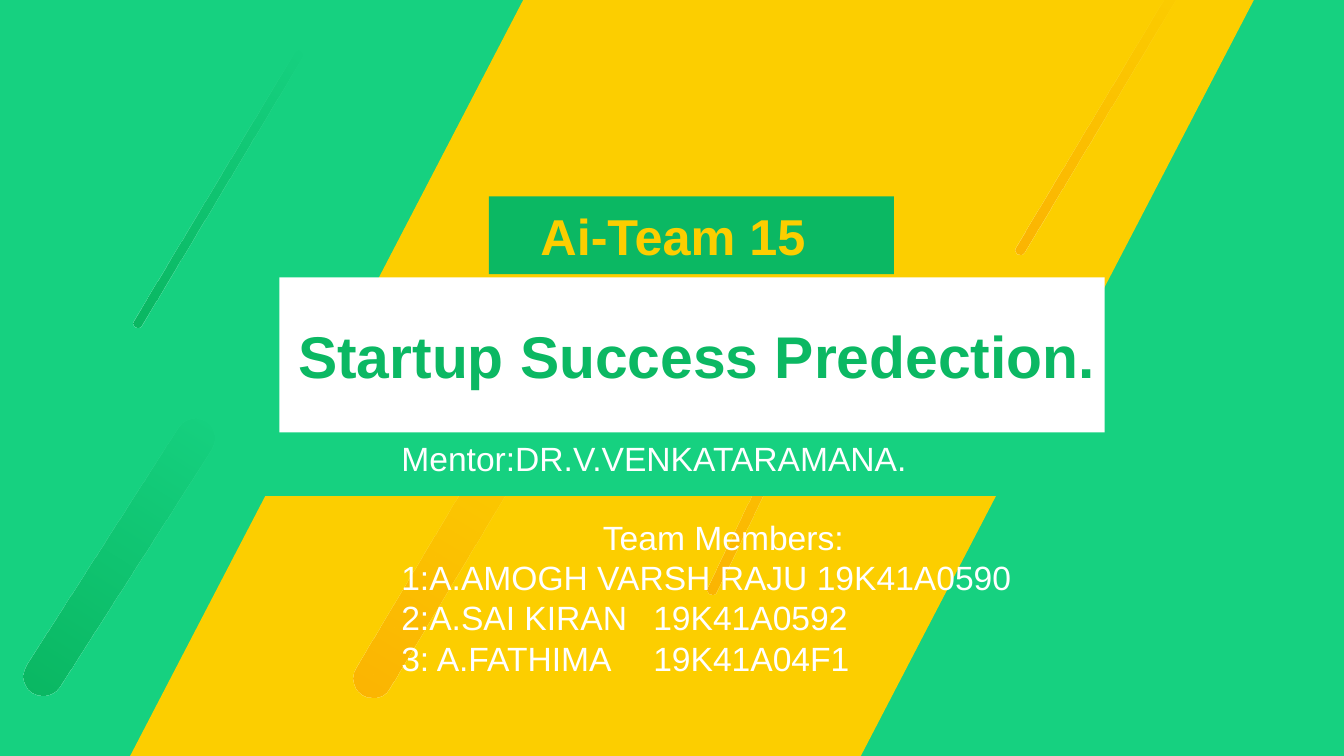
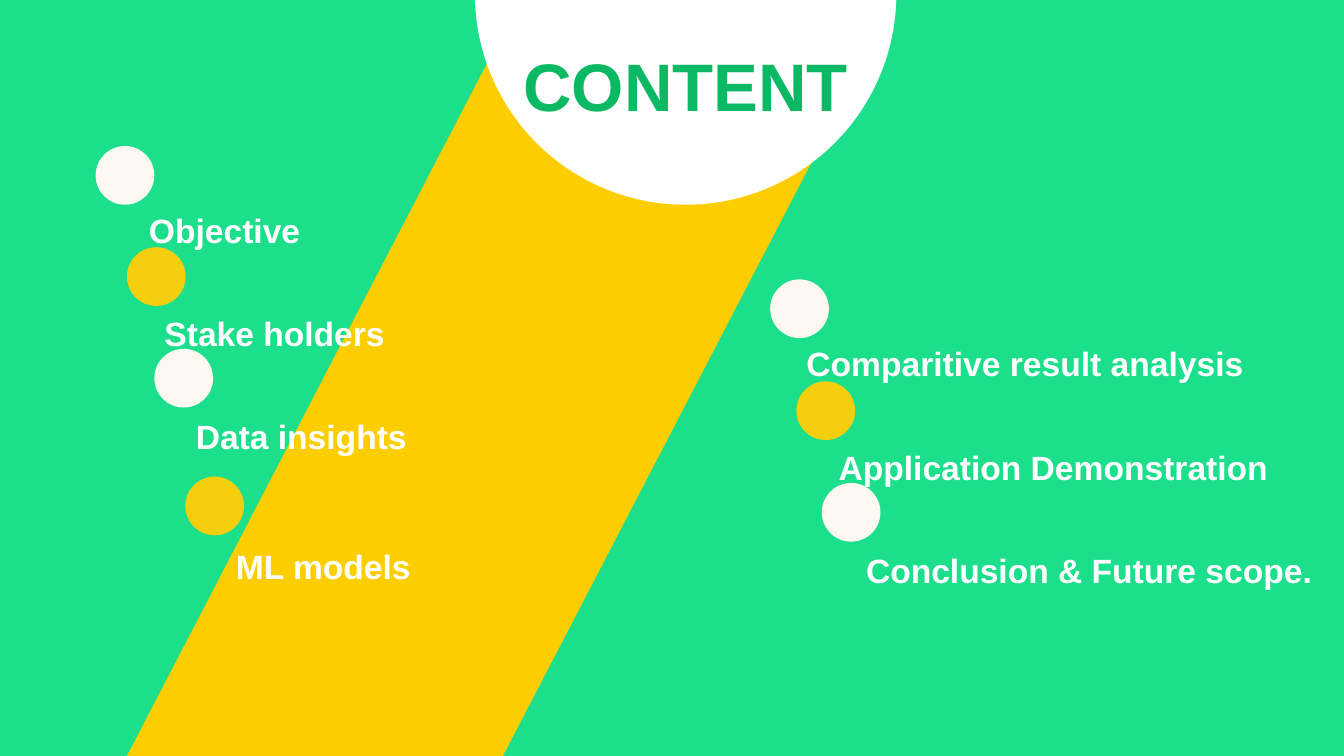
from dataclasses import dataclass
from math import cos, pi, sin

from lxml.etree import SubElement
from pptx import Presentation
from pptx.dml.color import RGBColor
from pptx.enum.shapes import MSO_SHAPE
from pptx.enum.text import MSO_ANCHOR, MSO_AUTO_SIZE, PP_ALIGN
from pptx.oxml.ns import qn
from pptx.util import Cm, Pt


@dataclass(frozen=True)
class Theme:
    """Colours, font and type sizes shared by the slides."""

    font: str = "Arial"
    white: str = "FFFFFF"
    cover_green: str = "16D180"
    content_green: str = "1CDF8B"
    dark_green: str = "0BB863"
    yellow: str = "FCCE00"
    orange: str = "FCB504"
    dot_colours: tuple = ("FDF8F2", "F5CF0E")
    title_size: int = 42
    heading_size: int = 48
    tag_size: int = 36
    body_size: int = 24
    line_factor: float = 1.15
    stripe_slant: float = 0.52


@dataclass(frozen=True)
class Box:
    """A rectangle in centimetres."""

    left: float
    top: float
    width: float
    height: float

    def inner(self, left, top, width, height):
        """Return a box placed relative to this one."""
        return Box(self.left + left, self.top + top, width, height)

    def lengths(self):
        """Return the four lengths for python-pptx."""
        return [Cm(value) for value in (self.left, self.top, self.width, self.height)]


THEME = Theme()
PAGE = Box(0, 0, 33.87, 19.05)
BODY_LINE = Pt(THEME.body_size * THEME.line_factor)

MEMBERS = (
    "1:A.AMOGH VARSH RAJU 19K41A0590",
    "2:A.SAI KIRAN\t19K41A0592",
    "3: A.FATHIMA\t19K41A04F1",
)
LEFT_TOPICS = (
    ("Objective", 0, 0, 1.34),
    ("Stake holders", 0.79, 2.55, 1.73),
    ("Data insights", 1.48, 5.11, 2.52),
    ("ML models", 2.26, 8.33, 3.53),
)
RIGHT_TOPICS = (
    ("Comparitive result analysis", 0, 0, 0.91),
    ("Application Demonstration", 0.66, 2.57, 1.72),
    ("Conclusion & Future scope.", 1.3, 5.13, 2.41),
)


def paint(shape, colour):
    """Give a shape a plain fill without line or shadow."""
    shape.fill.solid()
    shape.fill.fore_color.rgb = RGBColor.from_string(colour)
    shape.line.fill.background()
    shape.shadow.inherit = False


def add_filled(slide, kind, box, colour):
    """Add a filled preset shape."""
    shape = slide.shapes.add_shape(kind, *box.lengths())
    paint(shape, colour)
    return shape


def add_stripe(slide, box):
    """Add the slanted yellow stripe."""
    stripe = add_filled(slide, MSO_SHAPE.PARALLELOGRAM, box, THEME.yellow)
    stripe.adjustments[0] = THEME.stripe_slant


def add_streak(slide, box, rotation, colour):
    """Add a rounded bar that fades out along its length."""
    streak = add_filled(slide, MSO_SHAPE.ROUNDED_RECTANGLE, box, colour)
    streak.adjustments[0] = 0.5
    streak.rotation = rotation
    streak.fill.gradient()
    streak.fill.gradient_angle = 270
    for stop in streak.fill.gradient_stops:
        stop.color.rgb = RGBColor.from_string(colour)
    faded = streak._element.spPr.findall(".//" + qn("a:srgbClr"))[-1]
    SubElement(faded, qn("a:alpha"), val="0")


def style(paragraph, size, colour, bold=False, align=PP_ALIGN.LEFT):
    """Set the font and alignment of a paragraph."""
    paragraph.alignment = align
    font = paragraph.font
    font.name, font.size, font.bold = THEME.font, Pt(size), bold
    font.color.rgb = RGBColor.from_string(colour)


def place(slide, placeholder, box, anchor):
    """Move a placeholder to a box in front of the other shapes."""
    placeholder.left, placeholder.top, placeholder.width, placeholder.height = box.lengths()
    frame = placeholder.text_frame
    frame.word_wrap = True
    frame.auto_size = MSO_AUTO_SIZE.NONE
    frame.vertical_anchor = anchor
    slide.shapes._spTree.append(placeholder._element)
    return frame


def add_title(slide, box, text, size, align):
    """Fill the title placeholder."""
    frame = place(slide, slide.shapes.title, box, MSO_ANCHOR.MIDDLE)
    frame.text = text
    style(frame.paragraphs[0], size, THEME.dark_green, True, align)


def fill_list(frame, rows, bold=False, tab=None):
    """Write rows of text, left indent and space before."""
    for index, (text, indent, space) in enumerate(rows):
        paragraph = frame.add_paragraph() if index else frame.paragraphs[0]
        paragraph.text = text
        properties = paragraph._p.get_or_add_pPr()
        properties.set("marL", str(Cm(indent)))
        properties.set("indent", "0")
        SubElement(properties, qn("a:buNone"))
        if tab:
            stops = SubElement(properties, qn("a:tabLst"))
            SubElement(stops, qn("a:tab"), pos=str(Cm(tab)), algn="l")
        paragraph.space_before = space
        style(paragraph, THEME.body_size, THEME.white, bold)


def add_tag(slide, box):
    """Add the team label above the title."""
    tag = add_filled(slide, MSO_SHAPE.RECTANGLE, box, THEME.dark_green)
    frame = tag.text_frame
    frame.margin_left = Cm(1.3)
    frame.vertical_anchor = MSO_ANCHOR.MIDDLE
    frame.text = "Ai-Team 15"
    style(frame.paragraphs[0], THEME.tag_size, THEME.yellow, True)


def add_team(slide, box):
    """List the mentor and the team members."""
    frame = place(slide, slide.placeholders[1], box, MSO_ANCHOR.TOP)
    rows = [("Mentor:DR.V.VENKATARAMANA.", 0, Pt(0)), ("Team Members:", 5.08, BODY_LINE)]
    rows += [(member, 0, Pt(0)) for member in MEMBERS]
    fill_list(frame, rows, tab=10.63)


def add_topics(slide, box, placeholder, topics):
    """Add a staggered column of dots with a topic under each."""
    dot = 1.48
    rows = []
    previous = None
    for index, (text, dot_left, top, text_left) in enumerate(topics):
        colour = THEME.dot_colours[index % 2]
        add_filled(slide, MSO_SHAPE.OVAL, box.inner(dot_left, top, dot, dot), colour)
        space = Pt(0) if previous is None else Cm(top - previous) - BODY_LINE
        rows.append((text, text_left, space))
        previous = top
    text_box = box.inner(-0.25, dot, box.width + 0.25, box.height - dot)
    frame = place(slide, placeholder, text_box, MSO_ANCHOR.TOP)
    fill_list(frame, rows, bold=True)


def add_badge(slide, box):
    """Add the lower half disc at the top edge with the heading in it."""
    steps = 90
    radius = box.width / 2
    centre = box.left + radius
    points = [
        (
            Cm(centre + radius * cos(pi * step / steps)),
            Cm(max(box.top, box.top + box.height - radius + radius * sin(pi * step / steps))),
        )
        for step in range(steps + 1)
    ]
    builder = slide.shapes.build_freeform(*points[0])
    builder.add_line_segments(points[1:])
    paint(builder.convert_to_shape(), THEME.white)
    heading = box.inner(0, 0.97, box.width, 2.31)
    add_title(slide, heading, "CONTENT", THEME.heading_size, PP_ALIGN.CENTER)


def add_page(presentation, layout, colour):
    """Add a slide with a plain background."""
    slide = presentation.slides.add_slide(presentation.slide_layouts[layout])
    slide.background.fill.solid()
    slide.background.fill.fore_color.rgb = RGBColor.from_string(colour)
    return slide


def build_cover(presentation, page):
    """Build the cover slide."""
    slide = add_page(presentation, 0, THEME.cover_green)
    add_stripe(slide, page.inner(3.28, 0, 28.32, page.height))
    length = 8.1
    add_streak(slide, page.inner(10.74, 9.98, 0.99, length), 210.8, THEME.orange)
    add_streak(slide, page.inner(19.53, 7.26, 0.25, length), 205.7, THEME.orange)
    band = page.inner(6.45, 8.59, 20.8, 3.91)
    add_filled(slide, MSO_SHAPE.RECTANGLE, band, THEME.cover_green)
    add_tag(slide, page.inner(12.32, 4.95, 10.21, 1.96))
    add_streak(slide, page.inner(27.61, -1.14, 0.25, length), 210.9, THEME.orange)
    add_streak(slide, page.inner(2.51, 9.98, 0.99, length), 212.5, THEME.dark_green)
    add_streak(slide, page.inner(5.38, 0.71, 0.23, length), 210.9, THEME.dark_green)
    panel = page.inner(7.04, 6.99, 20.8, 3.91)
    add_filled(slide, MSO_SHAPE.RECTANGLE, panel, THEME.white)
    title = panel.inner(0.22, 0.93, 21.6, 2.06)
    add_title(slide, title, "Startup Success Predection.", THEME.title_size, PP_ALIGN.LEFT)
    add_team(slide, page.inner(9.86, 10.9, 17, 6.4))


def build_content(presentation, page):
    """Build the table of contents."""
    slide = add_page(presentation, 3, THEME.content_green)
    left, right = slide.placeholders[1], slide.placeholders[2]
    add_stripe(slide, page.inner(3.2, 0, 19.38, page.height))
    add_badge(slide, page.inner(11.97, 0, 10.62, 5.16))
    add_topics(slide, page.inner(2.41, 3.68, 9, 11.1), left, LEFT_TOPICS)
    add_topics(slide, page.inner(19.41, 7.04, 14.46, 7.9), right, RIGHT_TOPICS)


def main():
    """Build and save the presentation."""
    presentation = Presentation()
    presentation.slide_width = Cm(PAGE.width)
    presentation.slide_height = Cm(PAGE.height)
    build_cover(presentation, PAGE)
    build_content(presentation, PAGE)
    presentation.save("out.pptx")


if __name__ == "__main__":
    main()
